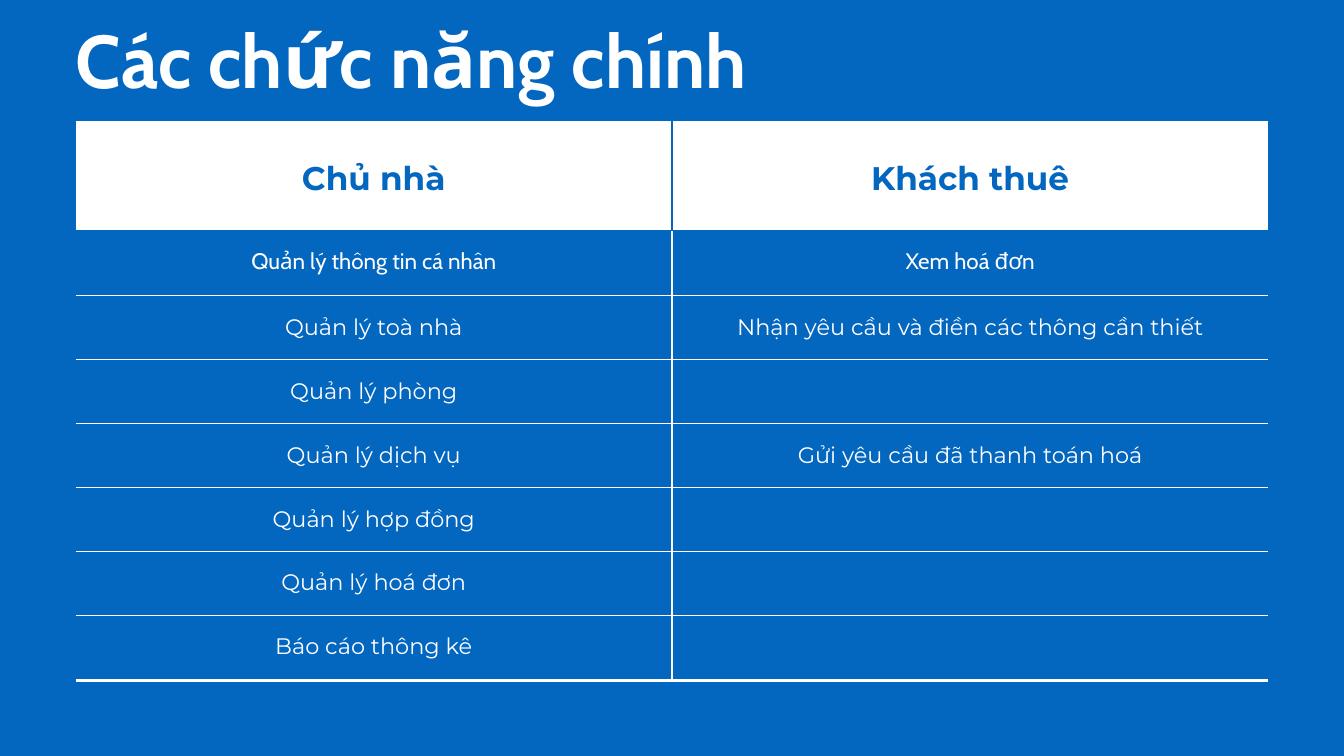
from lxml.etree import SubElement
from pptx import Presentation
from pptx.dml.color import RGBColor
from pptx.enum.shapes import MSO_CONNECTOR as Connector
from pptx.enum.text import MSO_ANCHOR as Anchor, MSO_AUTO_SIZE as AutoSize, PP_ALIGN as Align
from pptx.oxml.ns import qn
from pptx.util import Inches, Pt

COLORS = {"blue": "0366BF", "white": "FFFFFF"}
HEADINGS = ("Chủ nhà", "Khách thuê")
FUNCTIONS = [
    ("Quản lý thông tin cá nhân", "Xem hoá đơn"),
    ("Quản lý toà nhà", "Nhận yêu cầu và điền các thông cần thiết"),
    ("Quản lý phòng", ""),
    ("Quản lý dịch vụ", "Gửi yêu cầu đã thanh toán hoá"),
    ("Quản lý hợp đồng", ""),
    ("Quản lý hoá đơn", ""),
    ("Báo cáo thông kê", ""),
]

# Positions are percentages of the slide's width and height
LEFT, WIDTH, TOP = 5.62, 88.75, 16
ROW_HEIGHTS = [14.4, 8.7] + [8.45] * 5 + [8.62]
HEADER_END = TOP + 14.58
TABLE_END = 90.13


class Deck:
    def __init__(self, width, height):
        self.file = Presentation()
        self.file.slide_width, self.file.slide_height = Inches(width), Inches(height)
        self.slide = self.file.slides.add_slide(self.file.slide_layouts[5])
        background = self.slide.background.fill
        background.solid()
        background.fore_color.rgb = self.color("blue")

    def color(self, name):
        return RGBColor.from_string(COLORS[name])

    def x(self, percent):
        return round(self.file.slide_width * percent / 100)

    def y(self, percent):
        return round(self.file.slide_height * percent / 100)

    def add_text(self, frame, text, size, leading, font, color, bold=False, align=Align.LEFT):
        paragraph = frame.paragraphs[0]
        paragraph.alignment, paragraph.line_spacing = align, Pt(leading)
        run = paragraph.add_run()
        run.text = text
        run.font.name, run.font.size, run.font.bold = font, Pt(size), bold
        run.font.color.rgb = self.color(color)

    def title(self, text, left, top, width, height):
        heading = self.slide.shapes.title
        heading.left, heading.top = self.x(left), self.y(top)
        heading.width, heading.height = self.x(width), self.y(height)
        frame = heading.text_frame
        frame.margin_left = frame.margin_right = frame.margin_top = frame.margin_bottom = 0
        frame.vertical_anchor, frame.word_wrap = Anchor.TOP, True
        frame.auto_size = AutoSize.SHAPE_TO_FIT_TEXT
        self.add_text(frame, text, 80, 96, "Cabin", "white", bold=True)

    def borders(self, cell, top, bottom):
        properties = cell._tc.get_or_add_tcPr()
        for side, points in (("L", 0), ("R", 0), ("T", top), ("B", bottom)):
            line = SubElement(properties, qn(f"a:ln{side}"), w=str(Pt(points)))
            if points:
                fill = SubElement(line, qn("a:solidFill"))
                SubElement(fill, qn("a:srgbClr"), val=COLORS["white"])
            else:
                SubElement(line, qn("a:noFill"))

    def table(self, rows, left, top, width, heights):
        table = self.slide.shapes.add_table(
            len(rows), len(rows[0]), self.x(left), self.y(top),
            self.x(width), self.y(sum(heights))).table
        table.first_row = table.horz_banding = False
        for r, (texts, height) in enumerate(zip(rows, heights)):
            table.rows[r].height = self.y(height)
            header, last = r == 0, r == len(rows) - 1
            for c, text in enumerate(texts):
                cell = table.cell(r, c)
                self.borders(cell, 0 if header else 0.75, 3.75 if last else 0.75)
                cell.margin_left = cell.margin_right = Inches(0.21)
                cell.margin_top = cell.margin_bottom = Inches(0.21)
                if header:
                    cell.fill.solid()
                    cell.fill.fore_color.rgb = self.color("white")
                    cell.vertical_anchor = Anchor.MIDDLE
                    style = (35, 49, "Montserrat", "blue", True)
                else:
                    cell.fill.background()
                    style = (24, 33.6, "Cabin" if r == 1 else "Montserrat", "white")
                if text:
                    self.add_text(cell.text_frame, text, *style, align=Align.CENTER)

    def divider(self, x, top, bottom, color):
        line = self.slide.shapes.add_connector(
            Connector.STRAIGHT, self.x(x), self.y(top), self.x(x), self.y(bottom))
        line.line.color.rgb, line.line.width = self.color(color), Pt(3)
        SubElement(line._element.spPr, qn("a:effectLst"))


def main():
    deck = Deck(20, 11.25)

    # Title
    deck.title("Các chức năng chính", LEFT, 1.8, 55.35, 11.9)

    # Functions by role
    deck.table([HEADINGS, *FUNCTIONS], LEFT, TOP, WIDTH, ROW_HEIGHTS)

    # Divider between the roles
    deck.divider(50, HEADER_END, TABLE_END, "white")
    deck.divider(50, TOP, HEADER_END, "blue")

    deck.file.save("out.pptx")


if __name__ == "__main__":
    main()
